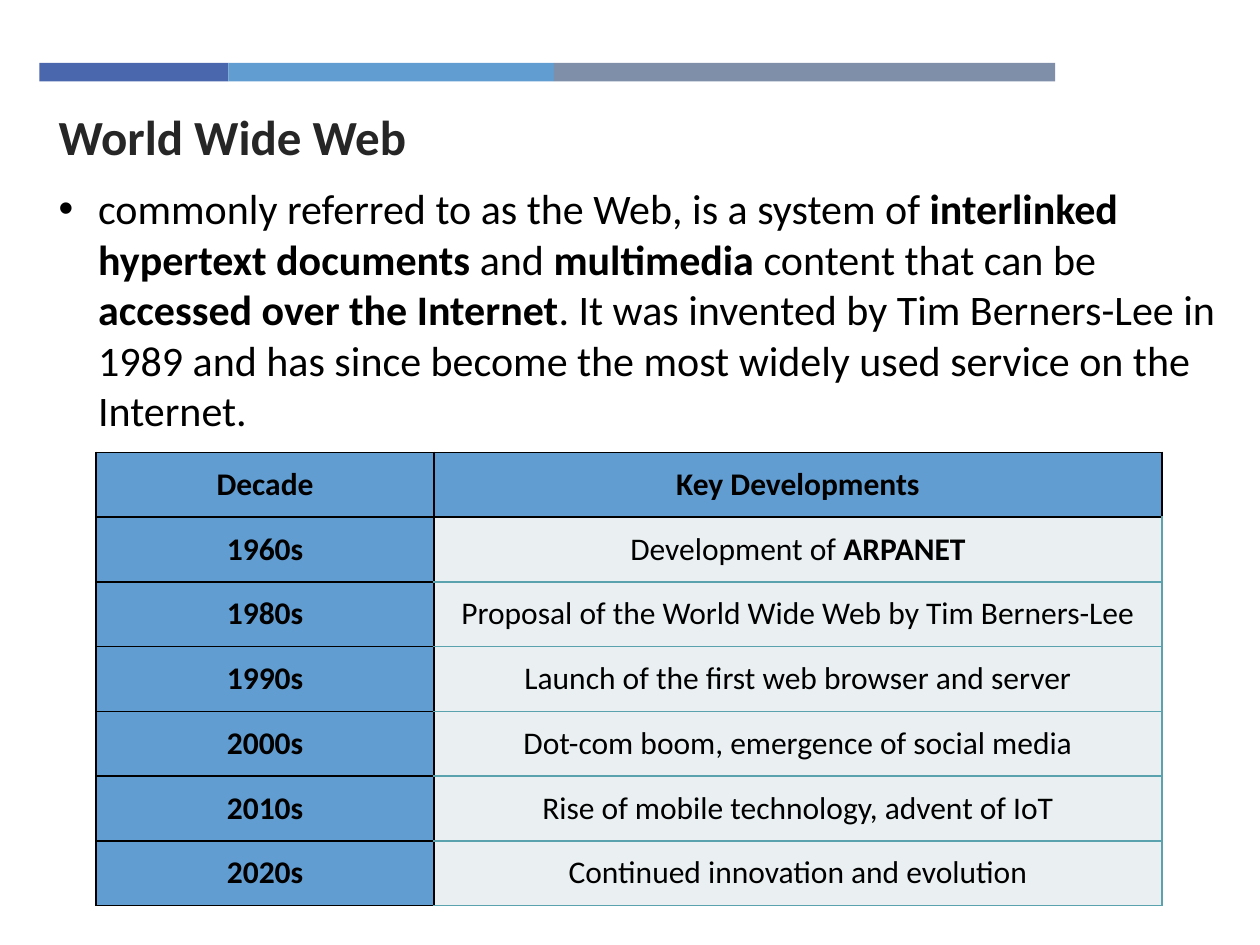
"""Build a slide on the World Wide Web with a decade-by-decade table."""
from dataclasses import dataclass

from lxml import etree
from pptx import Presentation
from pptx.dml.color import RGBColor
from pptx.enum.shapes import MSO_SHAPE
from pptx.enum.text import MSO_ANCHOR, PP_ALIGN
from pptx.oxml.ns import qn
from pptx.util import Pt

RECTANGLE = MSO_SHAPE.RECTANGLE
MIDDLE, TOP = MSO_ANCHOR.MIDDLE, MSO_ANCHOR.TOP
LEFT, CENTER = PP_ALIGN.LEFT, PP_ALIGN.CENTER

FONT = "Calibri"
BLACK = RGBColor(0x00, 0x00, 0x00)
CHARCOAL = RGBColor(0x26, 0x26, 0x26)
INDIGO = RGBColor(0x4A, 0x66, 0xAC)
BLUE = RGBColor(0x62, 0x9D, 0xD1)
SLATE = RGBColor(0x7F, 0x8F, 0xA9)
PALE = RGBColor(0xEA, 0xF0, 0xF2)
TEAL = RGBColor(0x5A, 0xA2, 0xAE)


@dataclass(frozen=True)
class Span:
    text: str
    bold: bool = False


@dataclass(frozen=True)
class Band:
    width: float
    color: RGBColor


@dataclass(frozen=True)
class Development:
    decade: str
    spans: tuple[Span, ...]


BANDS = (Band(108, INDIGO), Band(186, BLUE), Band(286.5, SLATE))
TITLE = (Span("World Wide Web", True),)
DEFINITION = (
    Span("commonly referred to as the Web, is a system of "),
    Span("interlinked hypertext documents ", True),
    Span("and "),
    Span("multimedia", True),
    Span(" content that can be "),
    Span("accessed over the Internet", True),
    Span(". It was invented by Tim Berners-Lee in 1989 and has since become "
         "the most widely used service on the Internet."),
)
DEVELOPMENTS = (
    Development("1960s", (Span("Development of "), Span("ARPANET", True))),
    Development("1980s", (Span("Proposal of the World Wide Web by Tim Berners-Lee"),)),
    Development("1990s", (Span("Launch of the first web browser and server"),)),
    Development("2000s", (Span("Dot-com boom, emergence of social media"),)),
    Development("2010s", (Span("Rise of mobile technology, advent of IoT"),)),
    Development("2020s", (Span("Continued innovation and evolution"),)),
)


def write_spans(para, spans: tuple[Span, ...], size: float, color: RGBColor, align=LEFT) -> None:
    para.alignment = align
    para.font.name = FONT
    para.font.size = Pt(size)
    para.font.color.rgb = color
    for span in spans:
        run = para.add_run()
        run.text = span.text
        run.font.bold = span.bold


def add_bullet(para, indent: float) -> None:
    properties = para._p.get_or_add_pPr()
    properties.set("marL", str(Pt(indent)))
    properties.set("indent", str(-Pt(indent)))
    etree.SubElement(properties, qn("a:buFont"), typeface="Arial")
    etree.SubElement(properties, qn("a:buChar"), char="•")


def add_bands(page, left: float, top: float, height: float) -> None:
    for band in BANDS:
        bar = page.shapes.add_shape(RECTANGLE, Pt(left), Pt(top), Pt(band.width), Pt(height))
        bar.shadow.inherit = False
        bar.fill.solid()
        bar.fill.fore_color.rgb = band.color
        bar.line.fill.background()
        left += band.width


def add_text_box(page, left: float, top: float, width: float, height: float):
    box = page.shapes.add_textbox(Pt(left), Pt(top), Pt(width), Pt(height))
    box.text_frame.word_wrap = True
    box.text_frame.vertical_anchor = TOP
    return box.text_frame.paragraphs[0]


def set_borders(cell, colors: dict[str, RGBColor]) -> None:
    properties = cell._tc.get_or_add_tcPr()
    for side, color in colors.items():
        line = etree.SubElement(properties, qn(f"a:ln{side}"), w=str(Pt(1)))
        fill = etree.SubElement(line, qn("a:solidFill"))
        etree.SubElement(fill, qn("a:srgbClr"), val=str(color))


def fill_cell(cell, spans: tuple[Span, ...], fill: RGBColor, borders: dict[str, RGBColor]) -> None:
    set_borders(cell, borders)
    cell.fill.solid()
    cell.fill.fore_color.rgb = fill
    cell.vertical_anchor = MIDDLE
    write_spans(cell.text_frame.paragraphs[0], spans, 18, BLACK, CENTER)


def add_timeline(page, left: float, top: float, widths: tuple[float, ...], height: float) -> None:
    rows = len(DEVELOPMENTS) + 1
    frame = page.shapes.add_table(rows, len(widths), Pt(left), Pt(top), Pt(sum(widths)), Pt(height))
    table = frame.table
    for column, width in zip(table.columns, widths):
        column.width = Pt(width)
    dark = dict.fromkeys("LRTB", BLACK)
    for index, heading in enumerate(("Decade", "Key Developments")):
        fill_cell(table.cell(0, index), (Span(heading, True),), BLUE, dark)
    for row, development in enumerate(DEVELOPMENTS, start=1):
        light = {"L": BLACK, "R": TEAL, "T": BLACK if row == 1 else TEAL, "B": TEAL}
        fill_cell(table.cell(row, 0), (Span(development.decade, True),), BLUE, dark)
        fill_cell(table.cell(row, 1), development.spans, PALE, light)


def main() -> None:
    deck = Presentation()
    deck.slide_width, deck.slide_height = Pt(720), Pt(540)
    page = deck.slides.add_slide(deck.slide_layouts[6])
    add_bands(page, 22.5, 36, 10.5)
    write_spans(add_text_box(page, 26.5, 57.5, 515.5, 39), TITLE, 28, CHARCOAL)
    definition = add_text_box(page, 26.5, 101, 681, 152.5)
    add_bullet(definition, 22.5)
    write_spans(definition, DEFINITION, 24, BLACK)
    add_timeline(page, 55, 258.5, (193, 416), 259)
    deck.save("out.pptx")


if __name__ == "__main__":
    main()
